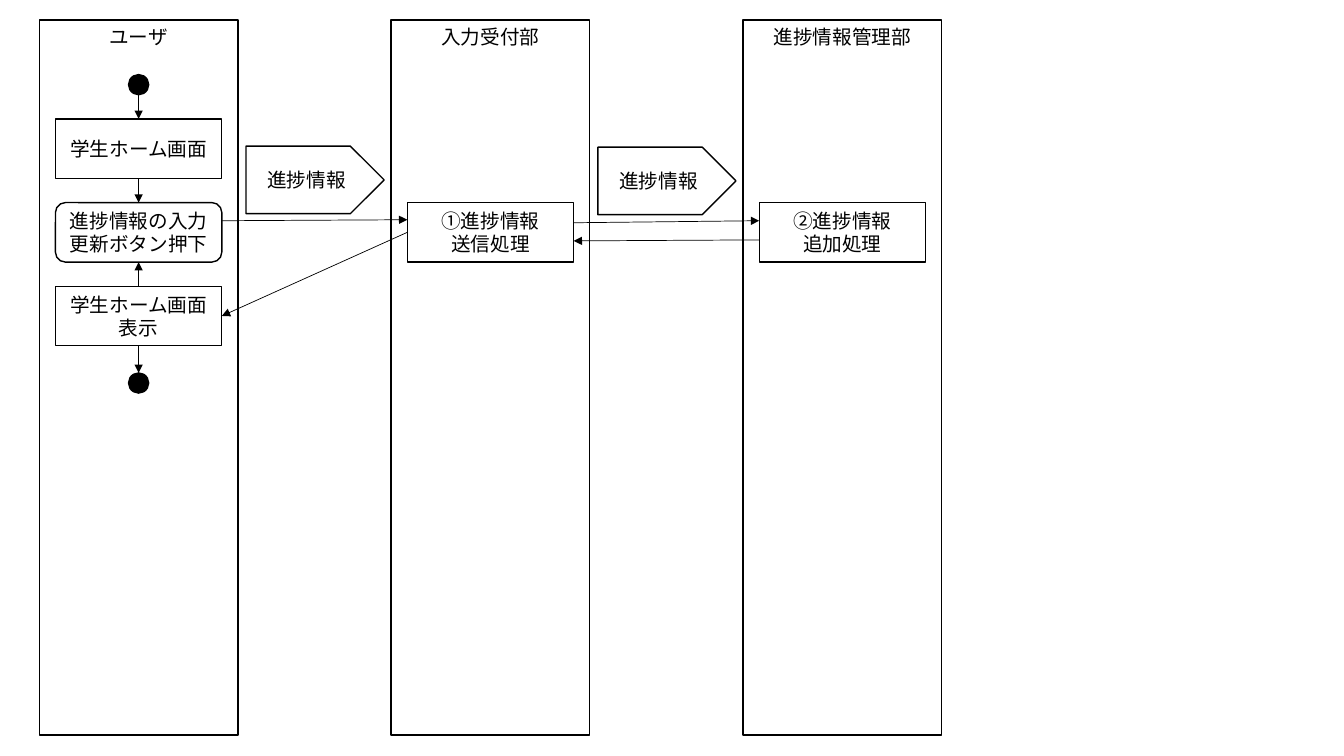
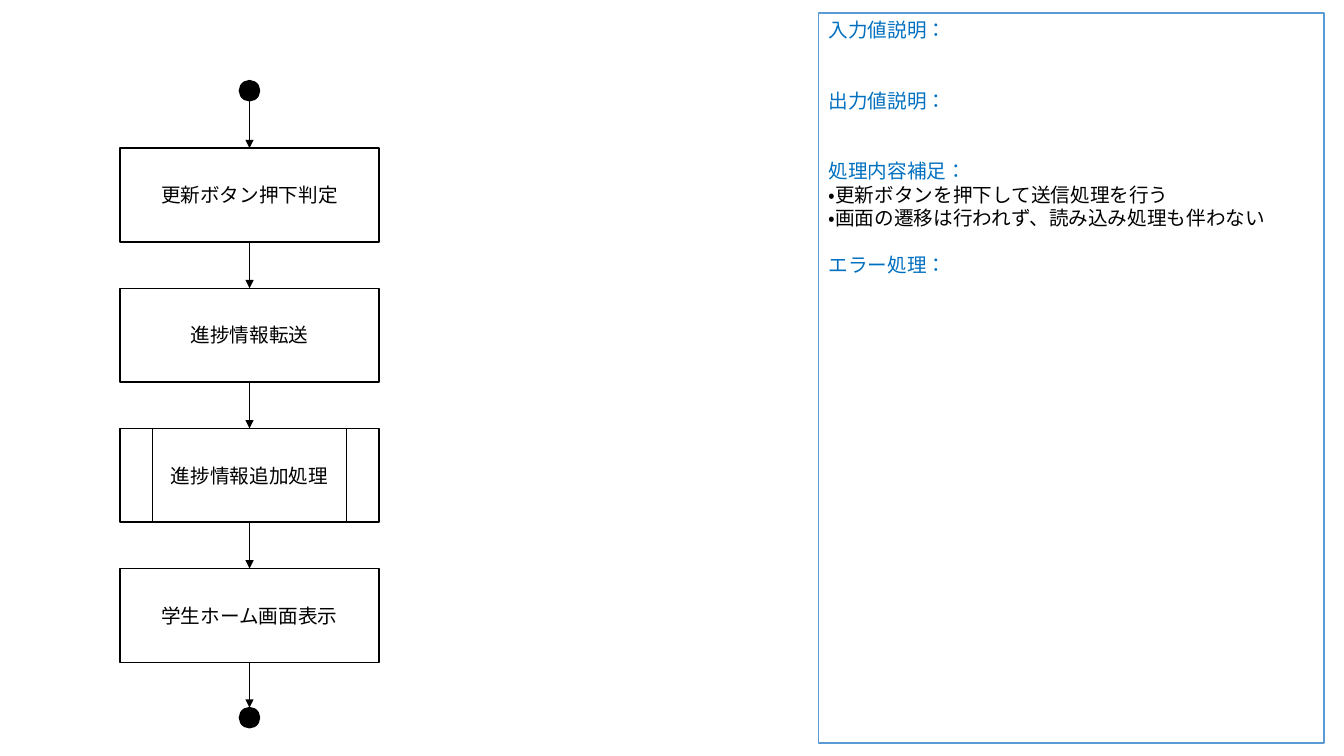
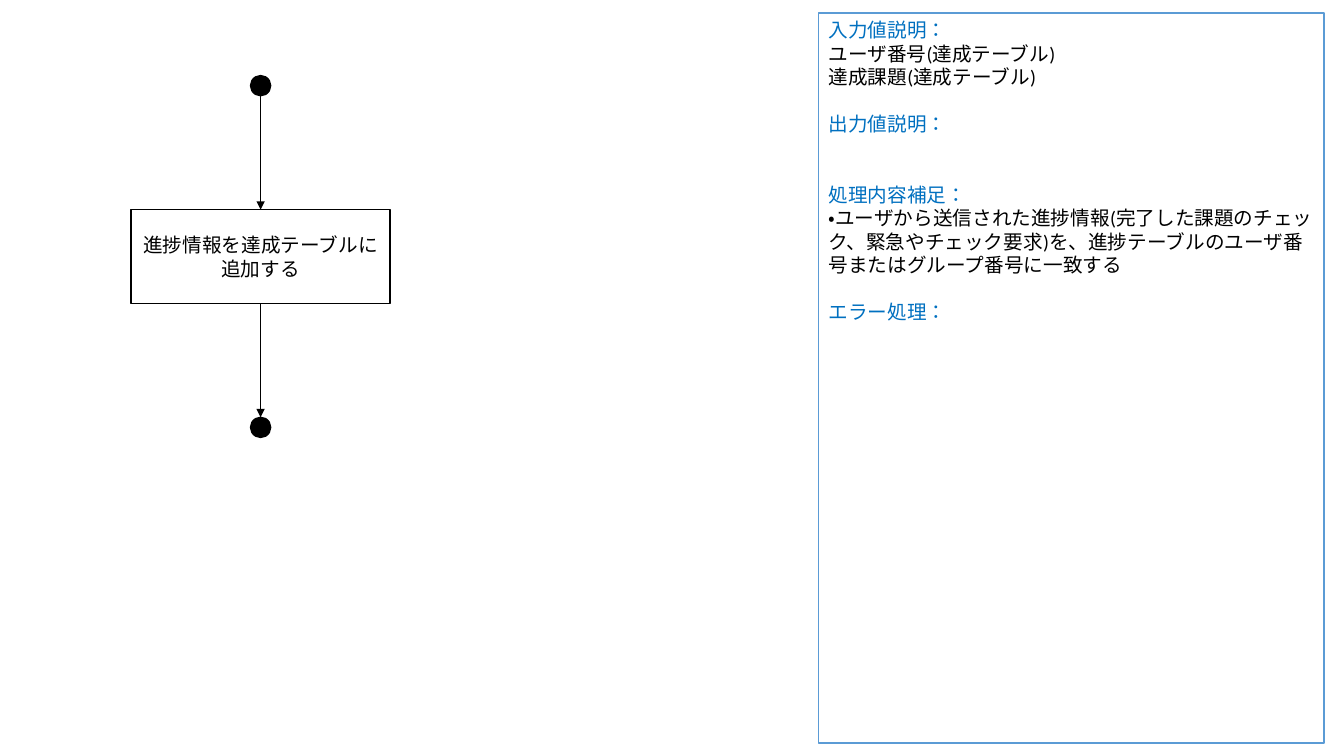
from itertools import pairwise

from pptx import Presentation
from pptx.dml.color import RGBColor
from pptx.enum.lang import MSO_LANGUAGE_ID
from pptx.enum.shapes import MSO_CONNECTOR, MSO_SHAPE
from pptx.enum.text import MSO_ANCHOR, PP_ALIGN
from pptx.oxml.ns import qn
from pptx.util import Inches, Pt
from lxml import etree

# Shared style
BLACK, WHITE, PANEL_LINE, HEADING = "000000", "FFFFFF", "5B9BD5", "0070C0"
TEXT_SIZE = 14
LINE_PITCH = 16.8
DOT = 0.2
TOP, LEFT, BOTTOM, RIGHT = range(4)

prs = Presentation()
prs.slide_width, prs.slide_height = Inches(13.33), Inches(7.5)
blank = prs.slide_layouts[6]


def add_box(s, kind, x, y, w, h, lines=(), fill=WHITE, line=BLACK, font="Calibri",
            anchor=MSO_ANCHOR.MIDDLE, align=PP_ALIGN.CENTER):
    """Draw a shape; each line is (text, colour, empty lines above)."""
    sp = s.shapes.add_shape(kind, Inches(x), Inches(y), Inches(w), Inches(h))
    sp.shadow.inherit = False
    sp.fill.solid()
    sp.fill.fore_color.rgb = RGBColor.from_string(fill)
    sp.line.color.rgb = RGBColor.from_string(line)
    sp.line.width = Pt(1)
    tf = sp.text_frame
    tf.word_wrap = True
    tf.vertical_anchor = anchor
    for i, (text, color, gap) in enumerate(lines):
        p = tf.add_paragraph() if i else tf.paragraphs[0]
        p.alignment = align
        p.space_before = Pt(gap * LINE_PITCH)
        r = p.add_run()
        r.text = text
        r.font.name = font
        r.font.size = Pt(TEXT_SIZE)
        r.font.color.rgb = RGBColor.from_string(color)
        r.font.language_id = MSO_LANGUAGE_ID.JAPANESE
    return sp


def add_arrow(s, x1, y1, x2, y2, begin=None, end=None):
    """Draw an arrow; begin and end are optional (shape, side) joints."""
    cxn = s.shapes.add_connector(MSO_CONNECTOR.STRAIGHT, x1, y1, x2, y2)
    if begin:
        cxn.begin_connect(*begin)
    if end:
        cxn.end_connect(*end)
    cxn.line.color.rgb = RGBColor.from_string(BLACK)
    cxn.line.width = Pt(0.5)
    etree.SubElement(cxn.line._get_or_add_ln(), qn("a:tailEnd"), type="triangle")
    etree.SubElement(cxn._element.spPr, qn("a:effectLst"))


# Slide 1: swimlanes
s = prs.slides.add_slide(blank)
lane_x = [0.39 + 3.49 * i for i in range(3)]
lane_w, box_w, box_h = 1.97, 1.65, 0.59
for x, title in zip(lane_x, ["ユーザ", "入力受付部", "進捗情報管理部"]):
    add_box(s, MSO_SHAPE.RECTANGLE, x, 0.2, lane_w, 7.09, [(title, BLACK, 0)],
            font="Arial", anchor=MSO_ANCHOR.TOP)

# Steps: lane, row, shape, lines
steps = []
for lane, row, kind, texts in [
    (0, 0, MSO_SHAPE.RECTANGLE, ["学生ホーム画面"]),
    (0, 1, MSO_SHAPE.ROUNDED_RECTANGLE, ["進捗情報の入力", "更新ボタン押下"]),
    (0, 2, MSO_SHAPE.RECTANGLE, ["学生ホーム画面表示"]),
    (1, 1, MSO_SHAPE.RECTANGLE, ["①進捗情報", "送信処理"]),
    (2, 1, MSO_SHAPE.RECTANGLE, ["②進捗情報", "追加処理"]),
]:
    steps.append(add_box(s, kind, lane_x[lane] + 0.16, 1.18 + 0.83 * row, box_w, box_h,
                         [(t, BLACK, 0) for t in texts]))
home, entry, result, send, append = steps

# Start and end dots
mid = lane_x[0] + lane_w / 2
start, stop = [add_box(s, MSO_SHAPE.OVAL, mid - DOT / 2, y, DOT, DOT, fill=BLACK)
               for y in (0.74, 3.7)]

# Arrows inside the user lane
add_arrow(s, Inches(mid), start.top + start.height, Inches(mid), home.top, end=(home, TOP))
for upper, lower, up_side, low_side in [(home, entry, BOTTOM, TOP), (result, entry, TOP, BOTTOM),
                                        (result, stop, BOTTOM, TOP)]:
    add_arrow(s, 0, 0, 0, 0, (upper, up_side), (lower, low_side))

# Arrows between lanes
add_arrow(s, entry.left + entry.width, Inches(2.19), send.left, Inches(2.18))
add_arrow(s, send.left + send.width, Inches(2.21), append.left, Inches(2.19))
add_arrow(s, append.left, Inches(2.38), send.left + send.width, Inches(2.39))
add_arrow(s, 0, 0, 0, 0, (send, LEFT), (result, RIGHT))

# Data passed between lanes
for x, y in zip(lane_x, (1.45, 1.46)):
    add_box(s, MSO_SHAPE.PENTAGON, x + 2.05, y, 1.37, 0.67, [("進捗情報", BLACK, 0)])

# Slides 2 and 3: flowchart with a description panel
process, subprocess = MSO_SHAPE.FLOWCHART_PROCESS, MSO_SHAPE.FLOWCHART_PREDEFINED_PROCESS
flow_w, flow_h, flow_pitch = 2.57, 0.93, 1.39
flows = [
    (1.19, 1.47, 0.8, 7.02,
     [(process, "更新ボタン押下判定"), (process, "進捗情報転送"),
      (subprocess, "進捗情報追加処理"), (process, "学生ホーム画面表示")],
     [("入力値説明：", HEADING, 0),
      ("出力値説明：", HEADING, 2),
      ("処理内容補足：", HEADING, 2),
      ("・更新ボタンを押下して送信処理を行う", BLACK, 0),
      ("・画面の遷移は行われず、読み込み処理も伴わない", BLACK, 0),
      ("エラー処理：", HEADING, 1)]),
    (1.3, 2.08, 0.75, 4.14,
     [(process, "進捗情報を達成テーブルに追加する")],
     [("入力値説明：", HEADING, 0),
      ("ユーザ番号(達成テーブル)", BLACK, 0),
      ("達成課題(達成テーブル)", BLACK, 0),
      ("出力値説明：", HEADING, 1),
      ("処理内容補足：", HEADING, 2),
      ("・ユーザから送信された進捗情報(完了した課題のチェック、緊急やチェック要求)を、"
       "進捗テーブルのユーザ番号またはグループ番号に一致する", BLACK, 0),
      ("エラー処理：", HEADING, 1)]),
]
for x, first_y, start_y, stop_y, boxes, notes in flows:
    s = prs.slides.add_slide(blank)
    mid = x + flow_w / 2
    start, stop = [add_box(s, MSO_SHAPE.OVAL, mid - DOT / 2, y, DOT, DOT, fill=BLACK)
                   for y in (start_y, stop_y)]
    chain = [add_box(s, kind, x, first_y + flow_pitch * i, flow_w, flow_h, [(text, BLACK, 0)])
             for i, (kind, text) in enumerate(boxes)]
    add_arrow(s, Inches(mid), start.top + start.height, Inches(mid), chain[0].top,
              end=(chain[0], TOP))
    for upper, lower in pairwise(chain + [stop]):
        add_arrow(s, 0, 0, 0, 0, (upper, BOTTOM), (lower, TOP))
    add_box(s, process, 8.12, 0.13, 5.01, 7.24, notes, line=PANEL_LINE,
            anchor=MSO_ANCHOR.TOP, align=PP_ALIGN.LEFT)

prs.save("out.pptx")
